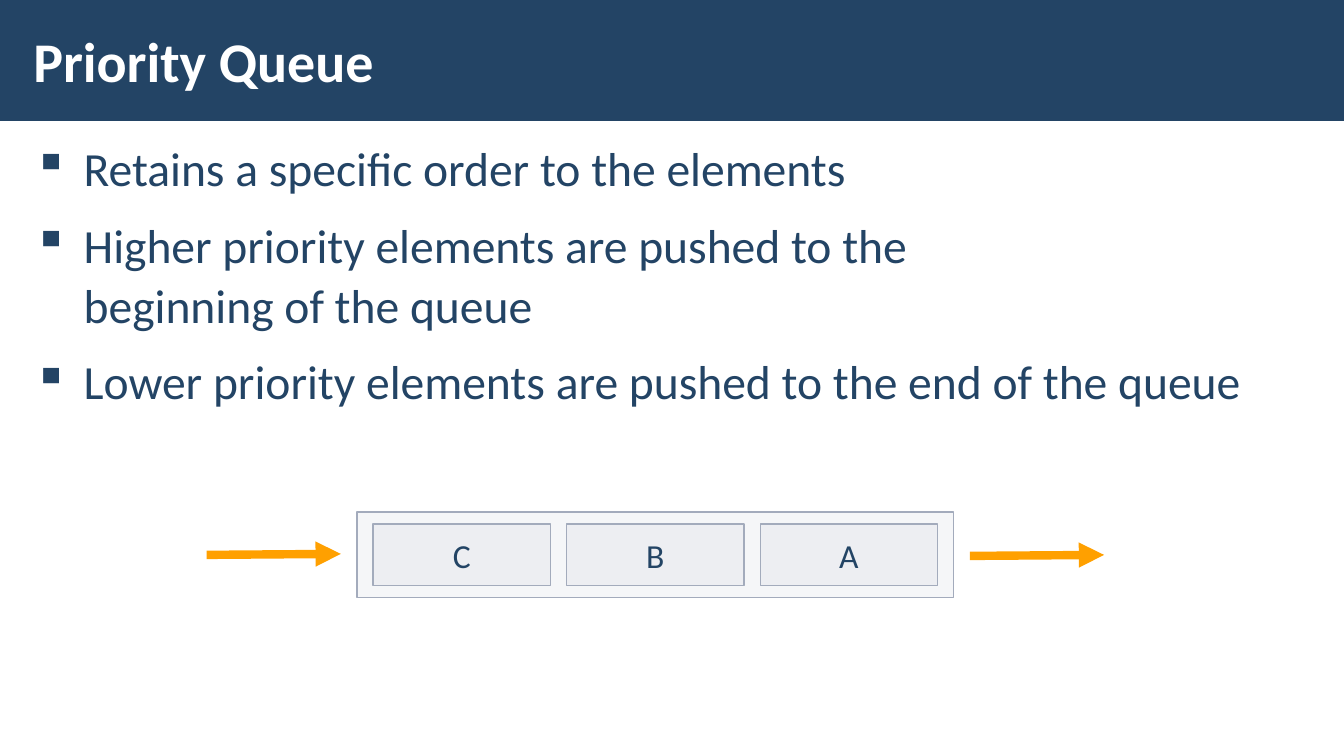
from lxml import etree
from pptx import Presentation
from pptx.dml.color import RGBColor
from pptx.enum.shapes import MSO_CONNECTOR, MSO_SHAPE
from pptx.enum.text import MSO_ANCHOR, MSO_AUTO_SIZE, PP_ALIGN
from pptx.oxml.ns import qn
from pptx.util import Inches, Pt

RECT, STRAIGHT = MSO_SHAPE.RECTANGLE, MSO_CONNECTOR.STRAIGHT
LEFT, CENTER = PP_ALIGN.LEFT, PP_ALIGN.CENTER
TOP, MIDDLE = MSO_ANCHOR.TOP, MSO_ANCHOR.MIDDLE

NAVY = RGBColor(0x23, 0x44, 0x65)
WHITE = RGBColor(0xFF, 0xFF, 0xFF)
GREY = RGBColor(0xC2, 0xC7, 0xD2)
EDGE = RGBColor(0xA3, 0xAB, 0xBC)
ORANGE = RGBColor(0xFF, 0xA0, 0x00)
FONT = "Calibri"

SLIDE_W, SLIDE_H = 13.33, 7.5
MARGIN = 0.21
BAND_H = 1.2
POINTS = [
    "Retains a specific order to the elements",
    "Higher priority elements are pushed to the\vbeginning of the queue",
    "Lower priority elements are pushed to the end of the queue",
]


def set_frame(tf, anchor, inset_x, inset_y):
    tf.word_wrap = True
    tf.auto_size = MSO_AUTO_SIZE.NONE
    tf.vertical_anchor = anchor
    tf.margin_left = tf.margin_right = Inches(inset_x)
    tf.margin_top = tf.margin_bottom = Inches(inset_y)


def write(p, text, size, color, align=LEFT, bold=False):
    p.text = text
    p.alignment = align
    for r in p.runs:
        r.font.name = FONT
        r.font.size = Pt(size)
        r.font.bold = bold
        r.font.color.rgb = color


def add_rect(s, x, y, w, h, fill, line=None, opacity=None):
    sp = s.shapes.add_shape(RECT, Inches(x), Inches(y), Inches(w), Inches(h))
    sp.shadow.inherit = False
    sp.fill.solid()
    sp.fill.fore_color.rgb = fill
    if opacity is not None:
        color = sp.element.spPr.find(qn("a:solidFill"))[0]
        etree.SubElement(color, qn("a:alpha"), val=str(opacity * 1000))
    if line is None:
        sp.line.fill.background()
    else:
        sp.line.color.rgb = line
        sp.line.width = Pt(1)
    return sp


def add_arrow(s, x, y, length):
    arrow = s.shapes.add_connector(STRAIGHT, Inches(x), Inches(y),
                                   Inches(x + length), Inches(y - 0.01))
    arrow.line.color.rgb = ORANGE
    arrow.line.width = Pt(6)
    etree.SubElement(arrow.line._get_or_add_ln(), qn("a:tailEnd"), type="triangle")
    etree.SubElement(arrow.element.spPr, qn("a:effectLst"))


def add_title(s, text, w, h):
    title = s.shapes.title
    band = add_rect(s, 0, 0, w, h, NAVY)
    title.element.addprevious(band.element)
    title.left, title.top = Inches(MARGIN), Inches(0.09 * h)
    title.width, title.height = Inches(0.78 * w), Inches(0.81 * h)
    set_frame(title.text_frame, MIDDLE, 0.12, 0.04)
    write(title.text_frame.paragraphs[0], text, 40, WHITE, bold=True)


def add_bullets(s, points, x, y, w, h):
    tf = s.shapes.add_textbox(Inches(x), Inches(y), Inches(w), Inches(h)).text_frame
    set_frame(tf, TOP, 0.12, 0.04)
    for i, point in enumerate(points):
        p = tf.add_paragraph() if i else tf.paragraphs[0]
        write(p, point, 34, NAVY)
        p.line_spacing = 1.05
        p.space_before = p.space_after = Pt(6)
        pPr = p._p.get_or_add_pPr()
        pPr.set("marL", str(Inches(0.5)))
        pPr.set("indent", str(Inches(-0.5)))
        etree.SubElement(pPr, qn("a:buChar"), char="▪")


def add_queue(s, labels, x, y, w, h):
    """Queue box with equally spaced cells, and an arrow on either side."""
    gap, arrow_len = 0.16, 1.33
    cell_w = (w - gap * (len(labels) + 1)) / len(labels)
    cell_h = 0.72 * h
    add_rect(s, x, y, w, h, GREY, EDGE, 15)
    for i, label in enumerate(labels):
        cell = add_rect(s, x + gap + i * (cell_w + gap), y + (h - cell_h) / 2,
                        cell_w, cell_h, GREY, EDGE, 15)
        set_frame(cell.text_frame, MIDDLE, 0.2, 0.1)
        write(cell.text_frame.paragraphs[0], label, 24, NAVY, CENTER)
    middle = y + h / 2
    add_arrow(s, x - gap - arrow_len, middle, arrow_len)
    add_arrow(s, x + w + gap, middle + 0.01, arrow_len)


def main():
    prs = Presentation()
    prs.slide_width, prs.slide_height = Inches(SLIDE_W), Inches(SLIDE_H)
    s = prs.slides.add_slide(prs.slide_layouts[5])
    add_title(s, "Priority Queue", SLIDE_W, BAND_H)
    add_bullets(s, POINTS, MARGIN, 1.31, SLIDE_W - 2 * MARGIN, 5.69)
    add_queue(s, "CBA", 3.54, 5.08, 5.92, 0.85)
    prs.save("out.pptx")


if __name__ == "__main__":
    main()
